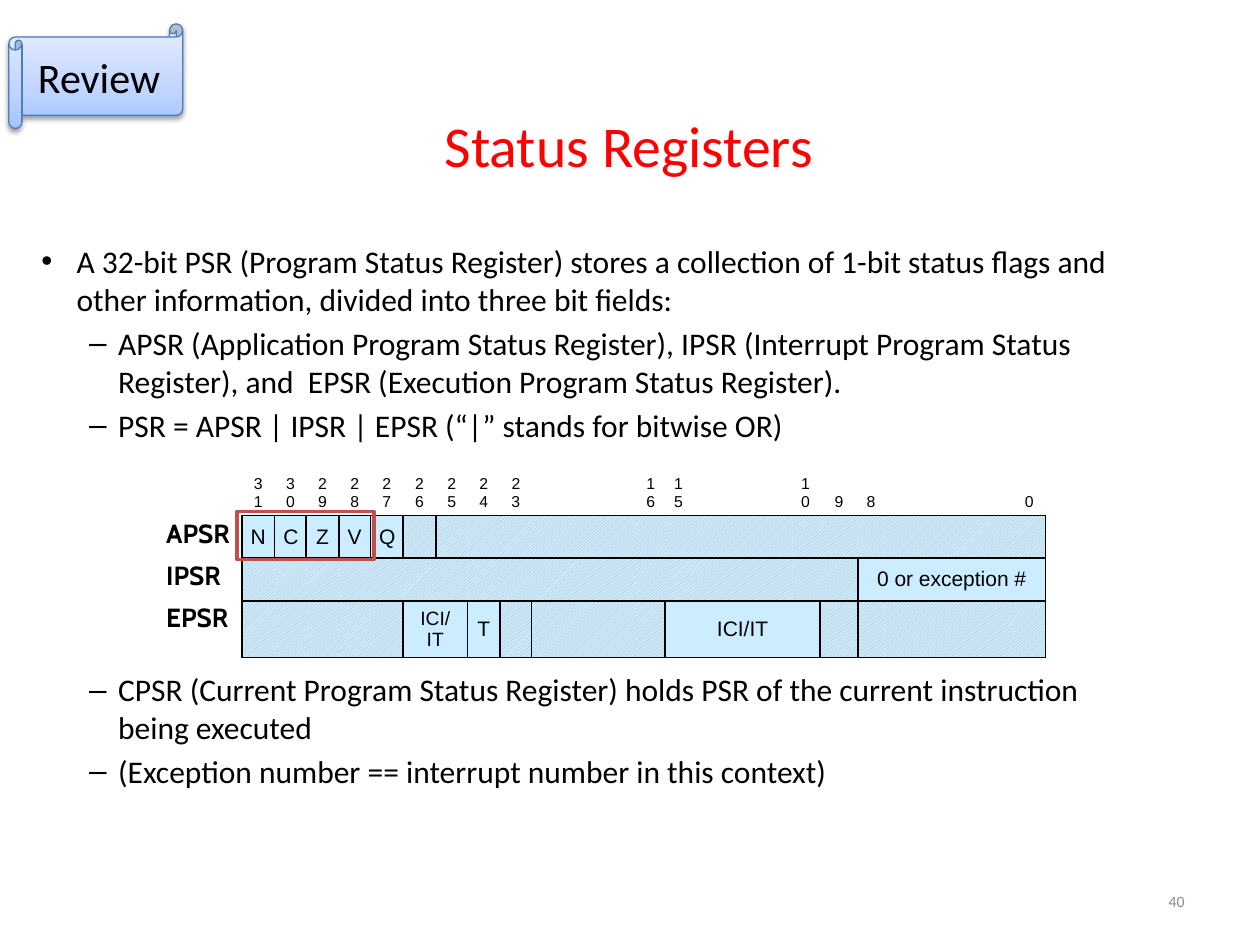
from copy import deepcopy

from lxml import etree
from pptx import Presentation
from pptx.dml.color import RGBColor
from pptx.enum.dml import MSO_PATTERN
from pptx.enum.shapes import MSO_SHAPE
from pptx.enum.text import MSO_ANCHOR, PP_ALIGN
from pptx.oxml.ns import qn
from pptx.util import Inches, Pt

CENTER, LEFT, RIGHT = PP_ALIGN.CENTER, PP_ALIGN.LEFT, PP_ALIGN.RIGHT
MIDDLE, BOTTOM, TOP = MSO_ANCHOR.MIDDLE, MSO_ANCHOR.BOTTOM, MSO_ANCHOR.TOP
HATCH = MSO_PATTERN.DARK_UPWARD_DIAGONAL
RECTANGLE, SCROLL = MSO_SHAPE.RECTANGLE, MSO_SHAPE.HORIZONTAL_SCROLL


def color(value):
    return RGBColor.from_string(value)


def write(paragraph, text, size, font="Calibri", ink="000000", align=LEFT):
    paragraph.text = text
    paragraph.alignment = align
    paragraph.font.size = Pt(size)
    paragraph.font.name = font
    paragraph.font.color.rgb = color(ink)


presentation = Presentation()
presentation.slide_width = Inches(10)
presentation.slide_height = Inches(7.5)
slide = presentation.slides.add_slide(presentation.slide_layouts[6])

single_lines = [
    ("Status Registers", 1.8, 0.68, 6.38, 0.94, 33, "FF0000", CENTER),
    ("40", 7.17, 6.95, 2.33, 0.4, 9, "8C8C8C", RIGHT),
]
for text, left, top, width, height, size, ink, align in single_lines:
    box = slide.shapes.add_textbox(Inches(left), Inches(top), Inches(width), Inches(height))
    box.text_frame.word_wrap = True
    box.text_frame.vertical_anchor = MIDDLE
    write(box.text_frame.paragraphs[0], text, size, ink=ink, align=align)

column_widths = [0.26, 0.25, 0.26, 0.25, 0.26, 0.26, 0.25, 0.26, 0.25,
                 0.83, 0.23, 0.21, 0.8, 0.22, 0.3, 0.21, 1.02, 0.26]
row_heights = [0.38, 0.34, 0.34, 0.34]
bit_numbers = ["31", "30", "29", "28", "27", "26", "25", "24", "23",
               "", "16", "15", "", "10", "9", "8", "", "0"]
registers = [
    [("N", 1, 12), ("C", 1, 12), ("Z", 1, 12), ("V", 1, 12), ("Q", 1, 12), ("", 13, 12)],
    [("", 15, 12), ("0 or exception #", 3, 12)],
    [("", 5, 12), ("ICI/IT", 2, 11), ("T", 1, 12), ("", 3, 12), ("ICI/IT", 3, 12), ("", 4, 12)],
]

frame = slide.shapes.add_table(len(row_heights), len(column_widths), Inches(1.92), Inches(3.71),
                               Inches(sum(column_widths)), Inches(sum(row_heights)))
table = frame.table
table.first_row = False
table.horz_banding = False
frame.element.find(".//" + qn("a:tableStyleId")).text = "{2D5ABB26-0587-4C30-8999-92F81FD0307C}"
for column, width in zip(table.columns, column_widths):
    column.width = Inches(width)
for row, height in zip(table.rows, row_heights):
    row.height = Inches(height)

cells = [(0, column, number, 9, ["lnB"]) for column, number in enumerate(bit_numbers)]
for row, segments in enumerate(registers, start=1):
    start = 0
    for label, span, size in segments:
        end = start + span - 1
        if label and span > 1:
            table.cell(row, start).merge(table.cell(row, end))
        for column in range(start, end + 1):
            sides = ["lnT", "lnB"]
            if column == end or label:
                sides.insert(0, "lnR")
            if column == start:
                sides.insert(0, "lnL")
            cells.append((row, column, label if column == start else "", size, sides))
        start = end + 1

for row, column, label, size, sides in cells:
    cell = table.cell(row, column)
    cell.margin_left = cell.margin_right = Inches(0.07)
    cell.margin_top = cell.margin_bottom = Inches(0.04 if label else 0)
    cell.vertical_anchor = MIDDLE if row else BOTTOM
    align = LEFT if label == "10" else CENTER
    write(cell.text_frame.paragraphs[0], label, size, "Arial", align=align)
    properties = cell._tc.get_or_add_tcPr()
    for side in sides:
        line = etree.SubElement(properties, qn("a:" + side), w=str(Pt(1)))
        solid = etree.SubElement(line, qn("a:solidFill"))
        etree.SubElement(solid, qn("a:srgbClr"), val="000000")
    if row == 0:
        cell.fill.background()
    elif label or cell.is_spanned:
        cell.fill.solid()
        cell.fill.fore_color.rgb = color("CCECFF")
    else:
        cell.fill.patterned()
        cell.fill.pattern = HATCH
        cell.fill.fore_color.rgb = color("B2B2B2")
        cell.fill.back_color.rgb = color("CCECFF")

names = slide.shapes.add_textbox(Inches(1.22), Inches(4.06), Inches(0.82), Inches(1.06))
names.text_frame.word_wrap = True
for index, name in enumerate(["APSR", "IPSR", "EPSR"]):
    paragraph = names.text_frame.paragraphs[0] if index == 0 else names.text_frame.add_paragraph()
    write(paragraph, name, 15, "Cabin")
    paragraph.font.bold = True
    if index:
        paragraph.space_before = Pt(6)

bullets = [
    ("A 32-bit PSR (Program Status Register) stores a collection of 1-bit status flags and "
     "other information, divided into three bit fields:", 0, 0),
    ("APSR (Application Program Status Register), IPSR (Interrupt Program Status Register), "
     "and  EPSR (Execution Program Status Register).", 1, 3.6),
    ("PSR = APSR | IPSR | EPSR (“|” stands for bitwise OR)", 1, 3.6),
    ("CPSR (Current Program Status Register) holds PSR of the current instruction "
     "being executed", 1, 129.6),
    ("(Exception number == interrupt number in this context)", 1, 3.6),
]
levels = [("•", 0.28, -0.28), ("–", 0.61, -0.23)]
body = slide.shapes.add_textbox(Inches(0.23), Inches(1.87), Inches(8.67), Inches(4.52))
body.text_frame.word_wrap = True
for index, (text, level, gap) in enumerate(bullets):
    paragraph = body.text_frame.paragraphs[0] if index == 0 else body.text_frame.add_paragraph()
    mark, margin, indent = levels[level]
    paragraph.level = level
    if gap:
        paragraph.space_before = Pt(gap)
    properties = paragraph._p.get_or_add_pPr()
    properties.set("marL", str(Inches(margin)))
    properties.set("indent", str(Inches(indent)))
    etree.SubElement(properties, qn("a:buFont"), typeface="Arial")
    etree.SubElement(properties, qn("a:buChar"), char=mark)
    write(paragraph, text, 18)

flags_outline = slide.shapes.add_shape(RECTANGLE, Inches(1.88), Inches(4.06), Inches(1.09), Inches(0.38))
flags_outline.shadow.inherit = False
flags_outline.fill.background()
flags_outline.line.color.rgb = color("C0504D")
flags_outline.line.width = Pt(2)

scroll = slide.shapes.add_shape(SCROLL, Inches(0.07), Inches(0.19), Inches(1.38), Inches(0.83))
scroll.line.color.rgb = color("4B7EBC")
scroll.line.width = Pt(0.75)
scroll.fill.gradient()
scroll.fill.gradient_angle = 90
stop_list = scroll.element.find(".//" + qn("a:gsLst"))
stop_list.append(deepcopy(stop_list[0]))
stops = [(0, "A4C4FF"), (0.35, "BFD4FF"), (1, "E6EEFF")]
for stop, (position, shade) in zip(scroll.fill.gradient_stops, stops):
    stop.position = position
    stop.color.rgb = color(shade)
scroll.shadow.inherit = False
effects = scroll.element.find(".//" + qn("a:effectLst"))
shadow = etree.SubElement(effects, qn("a:outerShdw"), blurRad=str(Pt(3.1)), dist=str(Pt(1.6)),
                          dir="5400000", rotWithShape="0")
shadow_color = etree.SubElement(shadow, qn("a:srgbClr"), val="000000")
etree.SubElement(shadow_color, qn("a:alpha"), val="38000")
scroll.text_frame.word_wrap = True
scroll.text_frame.vertical_anchor = MIDDLE
write(scroll.text_frame.paragraphs[0], "Review", 24, align=CENTER)

presentation.save("out.pptx")
